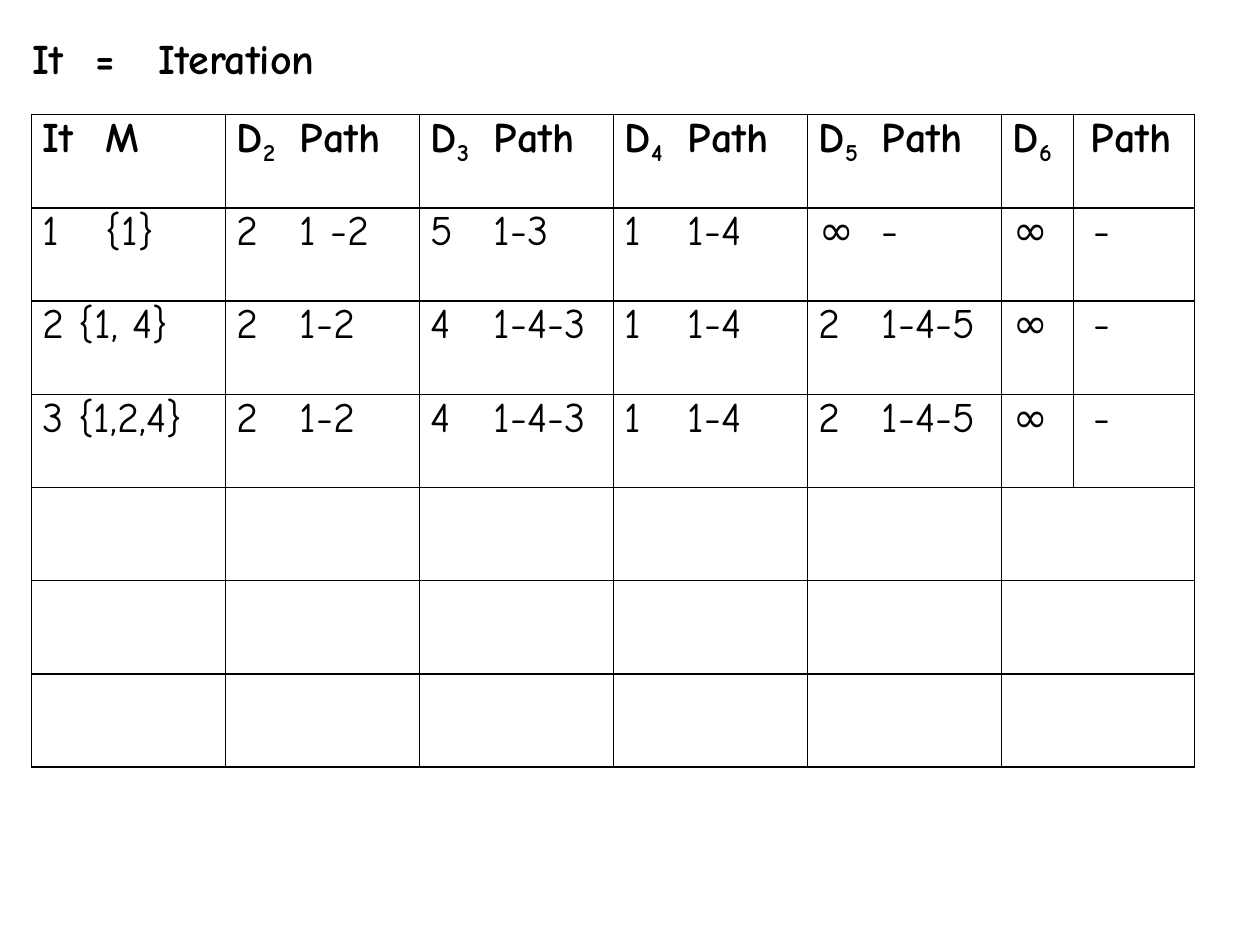
from pptx import Presentation
from pptx.dml.color import RGBColor
from pptx.enum.text import MSO_ANCHOR
from pptx.oxml.ns import qn
from pptx.util import Inches, Pt
from lxml import etree

TOP = MSO_ANCHOR.TOP
COLORS = {"text": "000000", "border": "000000"}
BLANK_LAYOUT = 6

COLUMN_WIDTHS = [1.54] * 5 + [0.57, 0.96]
ROW_HEIGHT = 0.74
ROW_COUNT = 7
CELL_INDENT = 0.09
HEADER_PATH_INDENT = 0.14
PATH_INDENT = 0.16

# Each cell: text, with "_" before a subscript digit, and its tab stop (None for no tab).
HEADER = [("It\tM", 1)]
HEADER += [(f"D_{node}\tPath", 0.76) for node in range(2, 6)]
HEADER += [("D_6", None), ("Path", None)]
ITERATIONS = [
    [("1\t{1}", 0.44), ("2\t1 -2", 0.69), ("5\t1-3", 0.69), ("1\t1-4", 0.83),
     ("∞\t-", 0.87), ("∞", None), ("-", None)],
    [("2 {1, 4}", None), ("2\t1-2", 0.69), ("4\t1-4-3", 0.49), ("1\t1-4", 0.93),
     ("2\t1-4-5", 0.59), ("∞", None), ("-", None)],
    [("3 {1,2,4}", None), ("2\t1-2", 0.69), ("4\t1-4-3", 0.59), ("1\t1-4", 0.83),
     ("2\t1-4-5", 0.59), ("∞", None), ("-", None)],
]


class SlideBuilder:
    font_name = "Comic Neue"
    font_size = 24
    border_width = 1

    def __init__(self, slide):
        self.slide = slide

    def fill_paragraph(self, paragraph, text, indent, tabs=(), bold=False):
        """Set text in which "_" marks the next character as a subscript."""
        properties = paragraph._p.get_or_add_pPr()
        properties.set("marL", str(Inches(indent)))
        properties.set("indent", "0")
        if tabs:
            tab_list = etree.SubElement(properties, qn("a:tabLst"))
            for position in tabs:
                etree.SubElement(tab_list, qn("a:tab"), pos=str(Inches(position)), algn="l")
        base, _, marked = text.partition("_")
        paragraph.text = base
        if marked:
            subscript = paragraph.add_run()
            subscript.text = marked[0]
            subscript._r.get_or_add_rPr().set("baseline", "-21000")
            if marked[1:]:
                paragraph.add_run().text = marked[1:]
        for run in paragraph.runs:
            run.font.name = self.font_name
            run.font.size = Pt(self.font_size)
            run.font.bold = bold
            run.font.color.rgb = RGBColor.from_string(COLORS["text"])

    def add_text(self, left, top, width, height, text, indent, tabs):
        shape = self.slide.shapes.add_textbox(
            Inches(left), Inches(top), Inches(width), Inches(height))
        frame = shape.text_frame
        frame.word_wrap = True
        frame.margin_left = frame.margin_right = frame.margin_top = frame.margin_bottom = 0
        self.fill_paragraph(frame.paragraphs[0], text, indent, tabs, bold=True)

    def style_cell(self, cell):
        cell.margin_left = cell.margin_right = cell.margin_top = cell.margin_bottom = 0
        cell.vertical_anchor = TOP
        properties = cell._tc.get_or_add_tcPr()
        for side in ("lnL", "lnR", "lnT", "lnB"):
            line = etree.SubElement(properties, qn(f"a:{side}"), w=str(Pt(self.border_width)))
            fill = etree.SubElement(line, qn("a:solidFill"))
            etree.SubElement(fill, qn("a:srgbClr"), val=COLORS["border"])
        cell.fill.background()

    def add_grid(self, left, top):
        shape = self.slide.shapes.add_table(
            ROW_COUNT, len(COLUMN_WIDTHS), Inches(left), Inches(top),
            Inches(sum(COLUMN_WIDTHS)), Inches(ROW_HEIGHT * ROW_COUNT))
        table = shape.table
        table.first_row = table.horz_banding = False
        for column, width in zip(table.columns, COLUMN_WIDTHS):
            column.width = Inches(width)
        for row in table.rows:
            row.height = Inches(ROW_HEIGHT)
            for cell in row.cells:
                self.style_cell(cell)
        return table


def main():
    presentation = Presentation()
    presentation.slide_width = Inches(10)
    presentation.slide_height = Inches(7.5)
    builder = SlideBuilder(
        presentation.slides.add_slide(presentation.slide_layouts[BLANK_LAYOUT]))

    builder.add_text(0.25, 0.26, 2.33, 0.36, "It\t=\tIteration", 0.01, (0.5, 0.84))

    table = builder.add_grid(0.25, 0.91)
    last_column = len(COLUMN_WIDTHS) - 1
    filled_rows = [HEADER] + ITERATIONS
    for row_index, row in enumerate(filled_rows):
        is_header = row_index == 0
        for column_index, (text, tab) in enumerate(row):
            indent = CELL_INDENT
            if column_index == last_column:
                indent = HEADER_PATH_INDENT if is_header else PATH_INDENT
            paragraph = table.cell(row_index, column_index).text_frame.paragraphs[0]
            builder.fill_paragraph(paragraph, text, indent, (tab,) if tab else (), is_header)
    for row_index in range(len(filled_rows), ROW_COUNT):
        table.cell(row_index, last_column - 1).merge(table.cell(row_index, last_column))

    presentation.save("out.pptx")


if __name__ == "__main__":
    main()
